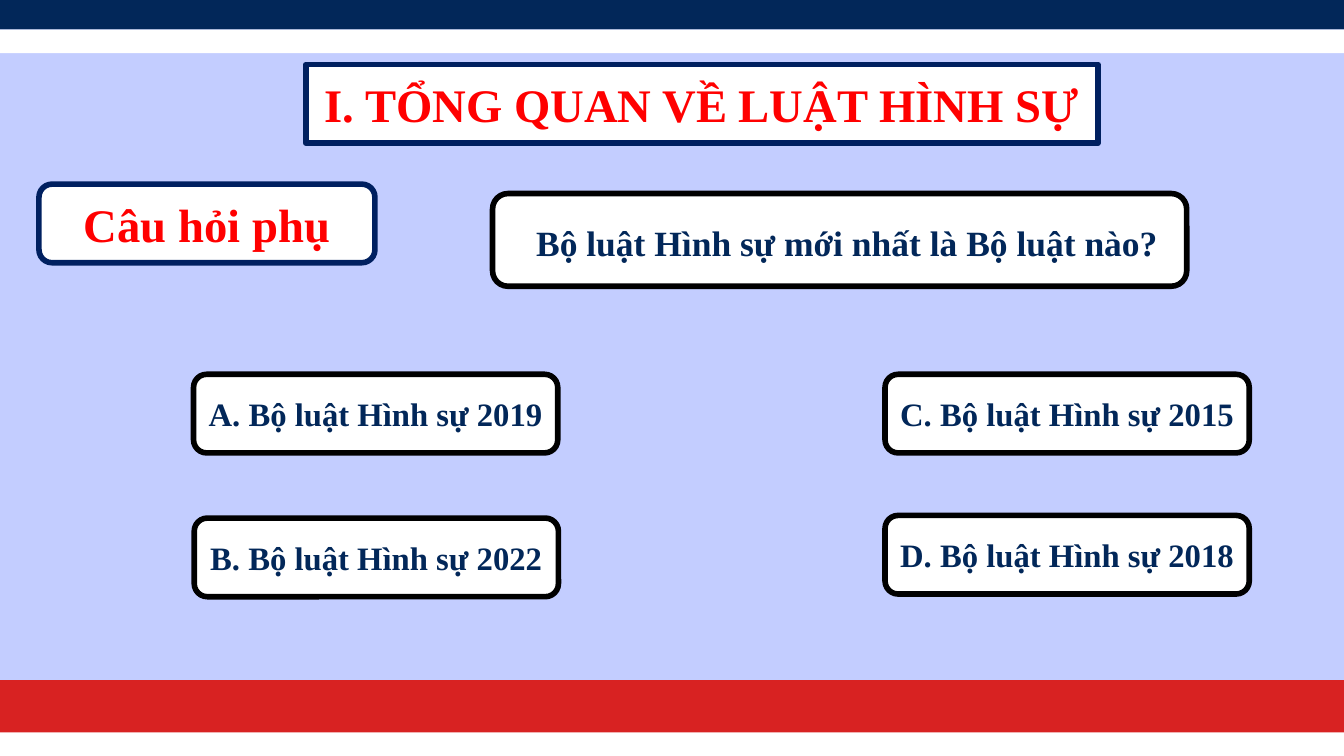
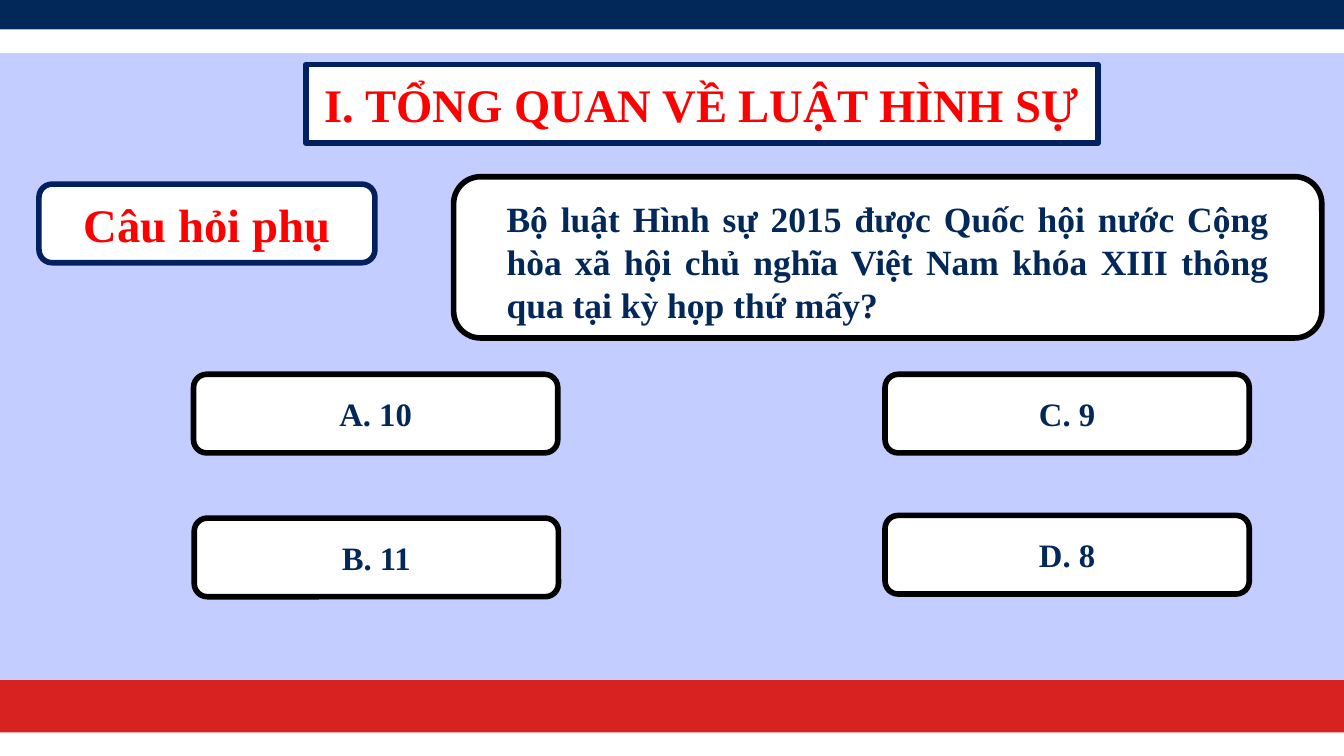
import pptx
import pptx.util
import pptx.dml.color
import pptx.enum.shapes
import pptx.enum.text
import pptx.oxml
from dataclasses import dataclass
from pptx.util import Inches

SHAPE = pptx.enum.shapes.MSO_SHAPE
ALIGN = pptx.enum.text.PP_ALIGN
ANCHOR = pptx.enum.text.MSO_ANCHOR
ROUND_GEOMETRY = (
    '<a:prstGeom xmlns:a="http://schemas.openxmlformats.org/drawingml/2006/main" '
    'prst="roundRect"><a:avLst/></a:prstGeom>'
)


@dataclass(frozen=True)
class Theme:
    font: str = "Times New Roman"
    background: str = "C3CDFF"
    white: str = "FFFFFF"
    red: str = "D82222"
    navy: str = "022759"
    heading: str = "FF0000"
    heading_border: str = "002060"
    answer_border: str = "000000"
    heading_size: int = 50
    question_size: int = 38
    question_spacing: int = 46
    answer_size: int = 35
    border: int = 6


def rgb(value):
    return pptx.dml.color.RGBColor.from_string(value)


def apply(target, formats):
    for name, value in formats.items():
        setattr(target, name, value)


class Deck:
    def __init__(self, theme):
        self.theme = theme
        self.prs = pptx.Presentation()
        apply(self.prs, {"slide_width": Inches(20), "slide_height": Inches(11.25)})
        fill = self.prs.slide_master.background.fill
        fill.solid()
        fill.fore_color.rgb = rgb(theme.background)
        self.slide = None

    def new_slide(self):
        layout = self.prs.slide_layouts.get_by_name("Title Only")
        self.slide = self.prs.slides.add_slide(layout)
        for left, top, width, height, color in (
            (-0.67, 10.12, 21.02, 1.42, self.theme.red),
            (-0.42, -0.09, 21.02, 0.53, self.theme.navy),
            (-0.35, 0.44, 20.7, 0.35, self.theme.white),
            (-0.35, 10.9, 20.95, 0.67, self.theme.white),
        ):
            self.shape(SHAPE.RECTANGLE, (left, top, width, height), color)

    def paint(self, sp, color, border=None):
        sp.fill.solid()
        sp.fill.fore_color.rgb = rgb(color)
        if border:
            sp.line.color.rgb = rgb(border)
            sp.line.width = pptx.util.Pt(self.theme.border)
        else:
            sp.line.fill.background()

    def shape(self, kind, box, color, border=None):
        sp = self.slide.shapes.add_shape(kind, *map(Inches, box))
        sp.shadow.inherit = False
        self.paint(sp, color, border)
        return sp

    def set_text(self, sp, text, size, color, align=ALIGN.CENTER, anchor=ANCHOR.MIDDLE):
        tf = sp.text_frame
        apply(tf, {
            "word_wrap": True,
            "vertical_anchor": anchor,
            "auto_size": pptx.enum.text.MSO_AUTO_SIZE.NONE,
        })
        p = tf.paragraphs[0]
        p.alignment = align
        r = p.add_run()
        r.text = text
        apply(r.font, {"name": self.theme.font, "size": pptx.util.Pt(size), "bold": True})
        r.font.color.rgb = rgb(color)
        return p

    def title(self, text):
        t = self.theme
        sp = self.slide.shapes.title
        apply(sp, dict(zip(("left", "top", "width", "height"),
                           map(Inches, (4.55, 0.96, 11.79, 1.17)))))
        sp.element.spPr.append(pptx.oxml.parse_xml(ROUND_GEOMETRY))
        self.paint(sp, t.white, t.heading_border)
        self.set_text(sp, text, t.heading_size, t.heading)

    def label(self, text):
        t = self.theme
        sp = self.shape(SHAPE.ROUNDED_RECTANGLE, (0.58, 2.74, 5, 1.17),
                        t.white, t.heading_border)
        self.set_text(sp, text, t.heading_size, t.heading)

    def question(self, text, frame, text_box):
        t = self.theme
        self.shape(SHAPE.ROUNDED_RECTANGLE, frame, t.white, t.answer_border)
        sp = self.slide.shapes.add_textbox(*map(Inches, text_box))
        p = self.set_text(sp, text, t.question_size, t.navy, ALIGN.JUSTIFY, ANCHOR.TOP)
        p.line_spacing = pptx.util.Pt(t.question_spacing)

    def answers(self, values):
        t = self.theme
        places = ((2.88, 5.57), (2.89, 7.71), (13.17, 5.57), (13.17, 7.67))
        for letter, value, place in zip("ABCD", values, places):
            sp = self.shape(SHAPE.ROUNDED_RECTANGLE, (*place, 5.42, 1.17),
                            t.white, t.answer_border)
            self.set_text(sp, f"{letter}. {value}", t.answer_size, t.navy)


def main():
    deck = Deck(Theme())
    quiz = (
        ("Bộ luật Hình sự mới nhất là Bộ luật nào?",
         (7.33, 2.88, 10.33, 1.38), (7.88, 3.23, 12.72, 1.38),
         [f"Bộ luật Hình sự {year}" for year in (2019, 2022, 2015, 2018)]),
        ("Bộ luật Hình sự 2015 được Quốc hội nước Cộng hòa xã hội chủ nghĩa "
         "Việt Nam khóa XIII thông qua tại kỳ họp thứ mấy?",
         (6.75, 2.63, 12.92, 2.4), (7.44, 2.88, 11.54, 2.66),
         (10, 11, 9, 8)),
    )
    for question, frame, text_box, values in quiz:
        deck.new_slide()
        deck.title("I. TỔNG QUAN VỀ LUẬT HÌNH SỰ")
        deck.label("Câu hỏi phụ")
        deck.question(question, frame, text_box)
        deck.answers(values)
    deck.prs.save("out.pptx")


if __name__ == "__main__":
    main()
